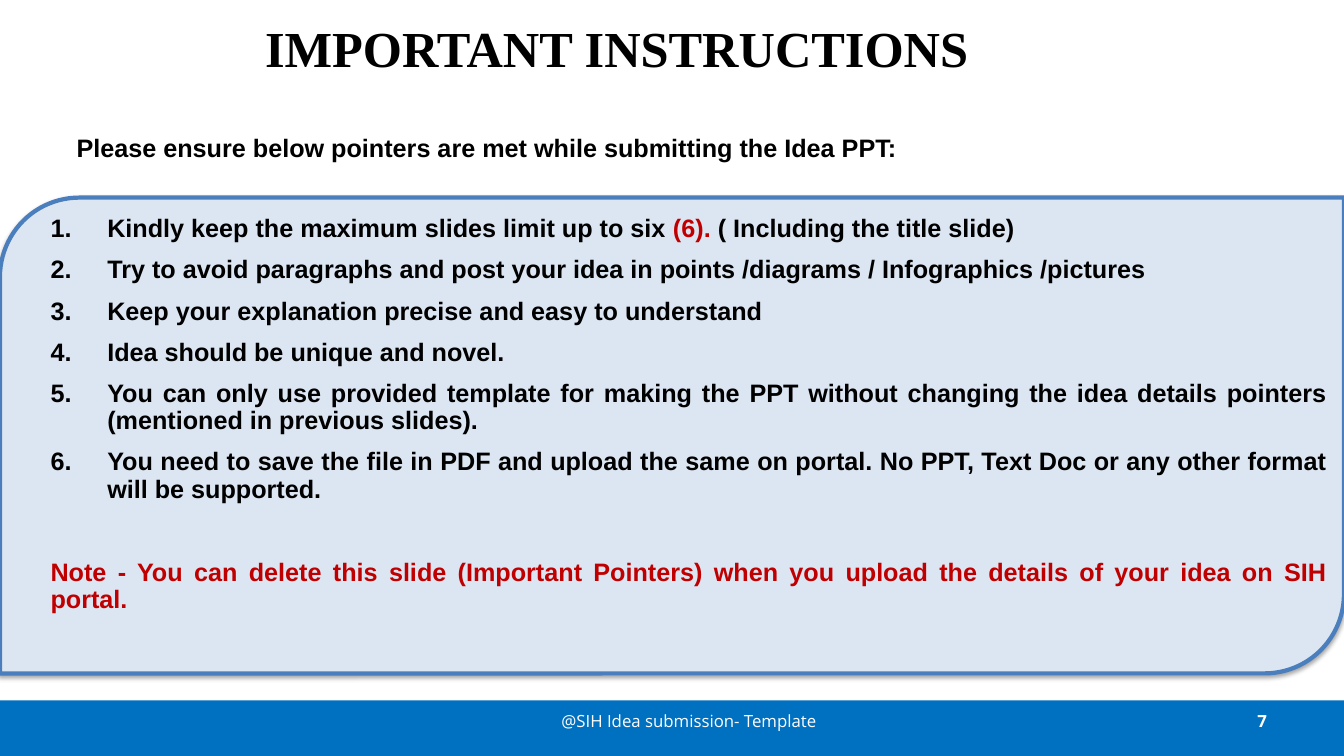
from lxml import etree
from pptx import Presentation
from pptx.dml.color import RGBColor
from pptx.enum.shapes import MSO_SHAPE
from pptx.enum.text import MSO_ANCHOR, MSO_AUTO_SIZE, PP_ALIGN
from pptx.oxml.ns import qn
from pptx.util import Cm, Pt

RECTANGLE = MSO_SHAPE.RECTANGLE
DIAGONAL_ROUND = MSO_SHAPE.ROUND_2_DIAG_RECTANGLE
TOP, MIDDLE = MSO_ANCHOR.TOP, MSO_ANCHOR.MIDDLE
CENTER, RIGHT, JUSTIFY = PP_ALIGN.CENTER, PP_ALIGN.RIGHT, PP_ALIGN.JUSTIFY
NO_AUTOFIT = MSO_AUTO_SIZE.NONE

BLACK = RGBColor(0, 0, 0)
WHITE = RGBColor(255, 255, 255)
RED = RGBColor(0xC0, 0, 0)
GRAY = RGBColor(0x80, 0x80, 0x80)
FOOTER_BLUE = RGBColor(0, 0x70, 0xC0)
PANEL_BLUE = RGBColor(0xDC, 0xE6, 0xF2)
BORDER_BLUE = RGBColor(0x4B, 0x7E, 0xBC)

SLIDE_WIDTH, SLIDE_HEIGHT = Cm(33.87), Cm(19.05)
FOOTER_TOP = Cm(17.65)
LIST_INDENT = Cm(1.43)

INSTRUCTIONS = [
    [("Kindly keep the maximum slides limit up to six ", BLACK), ("(6). ", RED),
     ("( Including the title slide) ", BLACK)],
    [("Try to avoid paragraphs and post your idea in points /diagrams / Infographics /pictures ", BLACK)],
    [("Keep your explanation precise and easy to understand", BLACK)],
    [("Idea should be unique and novel. ", BLACK)],
    [("You can only use provided template for making the PPT without changing the idea details "
      "pointers (mentioned in previous slides).", BLACK)],
    [("You need to save the file in PDF and upload the same on portal. No PPT, Text Doc or any "
      "other format will be supported.", BLACK)],
]
NOTE = ("Note - You can delete this slide (Important Pointers) when you upload the details of "
        "your idea on SIH portal.")


def write_text(paragraph, text, *, size=18, font="Arial", color=BLACK, bold=True,
               align=JUSTIFY, line_spacing=1.0, space_before=0):
    paragraph.alignment = align
    paragraph.line_spacing = line_spacing
    paragraph.space_before = Pt(space_before)
    run = paragraph.add_run()
    run.text = text
    run.font.size = Pt(size)
    run.font.name = font
    run.font.bold = bold
    run.font.color.rgb = color


def place(shape, left, top, width, height, anchor=TOP):
    shape.left, shape.top, shape.width, shape.height = left, top, width, height
    frame = shape.text_frame
    frame.word_wrap = True
    frame.auto_size = NO_AUTOFIT
    frame.vertical_anchor = anchor
    return frame


def add_text_box(slide, left, top, width, height, text, anchor=MIDDLE, **text_format):
    shape = slide.shapes.add_textbox(left, top, width, height)
    frame = place(shape, left, top, width, height, anchor)
    write_text(frame.paragraphs[0], text, **text_format)


def set_shadow(shape, color, blur):
    shape.shadow.inherit = False
    effects = shape._element.spPr.find(qn("a:effectLst"))
    shadow = etree.SubElement(effects, qn("a:outerShdw"), blurRad=str(Pt(blur)),
                              dist=str(Pt(1.8)), dir="5400000", rotWithShape="0")
    tone = etree.SubElement(shadow, qn("a:srgbClr"), val=str(color))
    etree.SubElement(tone, qn("a:alpha"), val="35000")


def add_backdrop(slide, kind, top, height, fill, shadow_color, blur, border=None):
    shape = slide.shapes.add_shape(kind, 0, top, SLIDE_WIDTH, height)
    shape.fill.solid()
    shape.fill.fore_color.rgb = fill
    if border is None:
        shape.line.fill.background()
    else:
        shape.line.color.rgb = border
        shape.line.width = Pt(3)
    set_shadow(shape, shadow_color, blur)
    slide.shapes._spTree.insert(2, shape._element)


def set_bullet(paragraph, numbered):
    properties = paragraph._p.get_or_add_pPr()
    indent = LIST_INDENT if numbered else 0
    properties.set("marL", str(indent))
    properties.set("indent", str(-indent))
    if numbered:
        bullet_color = etree.SubElement(properties, qn("a:buClr"))
        etree.SubElement(bullet_color, qn("a:srgbClr"), val=str(BLACK))
        etree.SubElement(properties, qn("a:buFont"), typeface="+mj-lt")
        etree.SubElement(properties, qn("a:buAutoNum"), type="arabicPeriod")
    else:
        etree.SubElement(properties, qn("a:buNone"))


def fill_instructions(placeholder):
    frame = place(placeholder, Cm(1.02), Cm(5.31), Cm(32.69), Cm(11.3))
    for index, parts in enumerate(INSTRUCTIONS):
        paragraph = frame.add_paragraph() if index else frame.paragraphs[0]
        for text, color in parts:
            write_text(paragraph, text, color=color, line_spacing=0.9,
                       space_before=10 if index else 0)
        set_bullet(paragraph, numbered=True)
    note = frame.add_paragraph()
    write_text(note, NOTE, color=RED, line_spacing=0.9, space_before=40)
    set_bullet(note, numbered=False)


def main():
    presentation = Presentation()
    presentation.slide_width, presentation.slide_height = SLIDE_WIDTH, SLIDE_HEIGHT
    slide = presentation.slides.add_slide(presentation.slide_layouts[1])

    add_backdrop(slide, DIAGONAL_ROUND, Cm(4.98), Cm(11.99), PANEL_BLUE, BLACK, 3.1, BORDER_BLUE)
    add_backdrop(slide, RECTANGLE, FOOTER_TOP, SLIDE_HEIGHT - FOOTER_TOP, FOOTER_BLUE, GRAY, 0)

    title = place(slide.shapes.title, Cm(3.86), Cm(0.3), Cm(23.37), Cm(1.8), MIDDLE)
    write_text(title.paragraphs[0], "IMPORTANT INSTRUCTIONS", size=36,
               font="Times New Roman", align=CENTER)
    fill_instructions(slide.placeholders[1])
    add_text_box(slide, Cm(1.68), Cm(3.3), Cm(26.54), Cm(0.94),
                 "Please ensure below pointers are met while submitting the Idea PPT:",
                 anchor=TOP, line_spacing=0.9)

    footer_format = {"size": 12, "font": "Open Sans", "color": WHITE}
    add_text_box(slide, Cm(12.92), FOOTER_TOP, Cm(8.89), Cm(1.02),
                 "@SIH Idea submission- Template", align=CENTER, bold=False, **footer_format)
    add_text_box(slide, Cm(24.28), FOOTER_TOP, Cm(7.9), Cm(1.02), "7",
                 align=RIGHT, **footer_format)
    presentation.save("out.pptx")


if __name__ == "__main__":
    main()
